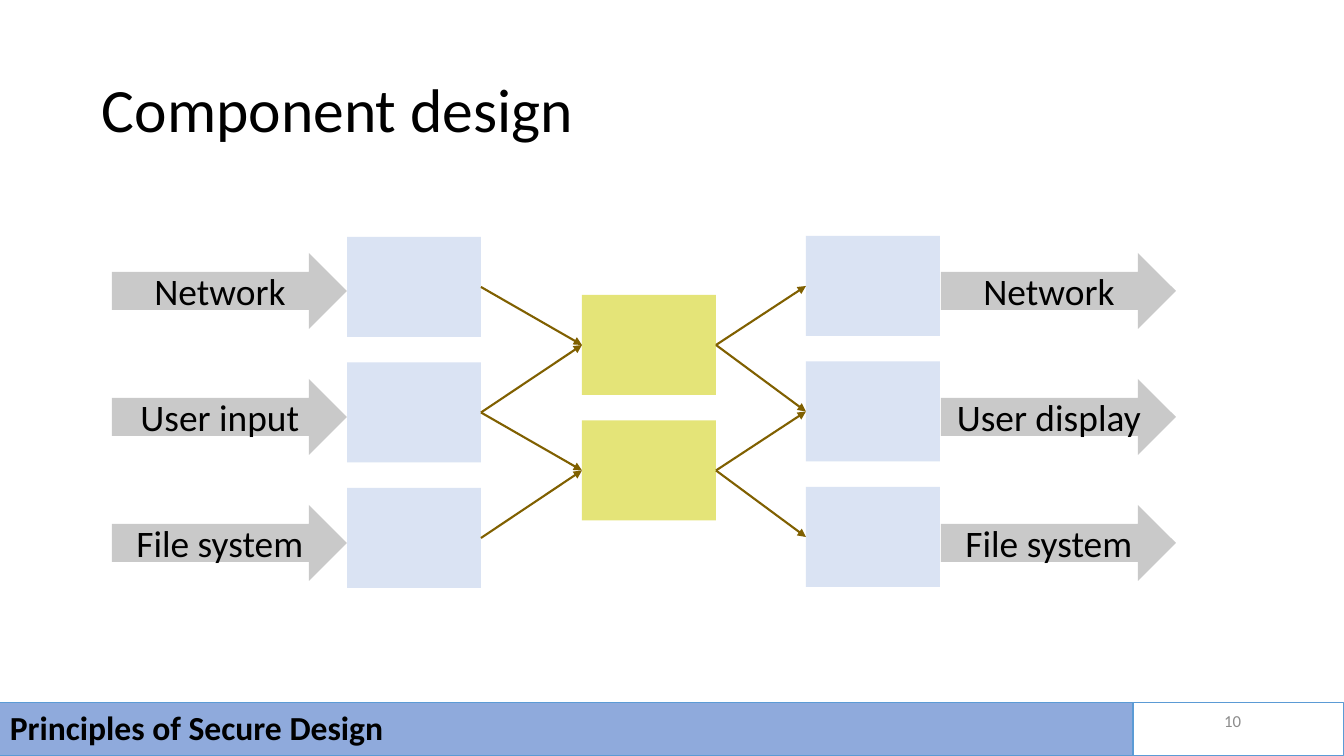
from lxml import etree
from pptx import Presentation
from pptx.dml.color import RGBColor
from pptx.enum.shapes import MSO_CONNECTOR, MSO_SHAPE
from pptx.enum.text import MSO_ANCHOR, PP_ALIGN
from pptx.oxml.ns import qn
from pptx.util import Emu, Pt

# Content
TITLE = "Component design"
FOOTER = "Principles of Secure Design"
PAGE_NUMBER = "10"
INPUTS = ["Network", "User input", "File system"]
OUTPUTS = ["Network", "User display", "File system"]
INPUT_LINKS = [(0, 0), (1, 1), (1, 0), (2, 1)]      # input box, core box
OUTPUT_LINKS = [(0, 0), (0, 1), (1, 1), (1, 2)]     # core box, output box

# Layout in px
SCALE = 914400 / 100.8
SLIDE_WIDTH, SLIDE_HEIGHT = 1344, 756
BOX_WIDTH, BOX_HEIGHT, BOX_PITCH = 134, 100, 125.5
INPUT_LEFT, CORE_LEFT, OUTPUT_LEFT = 347, 582, 806
INPUT_TOP, CORE_TOP, OUTPUT_TOP = 237, 295, 236
ARROW_WIDTH, ARROW_HEIGHT, ARROW_TOP, ARROW_PITCH = 235, 76, 253, 126
FOOTER_TOP, FOOTER_HEIGHT, FOOTER_SPLIT = 703, 53, 1133

FONT = "Calibri"
BLACK, GREY_TEXT = "000000", "8C8C8C"
PALE_BLUE, OLIVE, GREY = "DAE3F3", "CCCC00", "C9C9C9"
BROWN, FOOTER_FILL, FOOTER_LINE = "806000", "8FAADC", "5B9BD5"


def px(length):
    return Emu(round(length * SCALE))


def color(value):
    return RGBColor.from_string(value)


def write(shape, text, size, text_color=BLACK, align=PP_ALIGN.LEFT, bold=False, spacing=1.0):
    frame = shape.text_frame
    frame.word_wrap = True
    frame.vertical_anchor = MSO_ANCHOR.MIDDLE
    paragraph = frame.paragraphs[0]
    paragraph.alignment = align
    paragraph.line_spacing = spacing
    run = paragraph.add_run()
    run.text = text
    run.font.name = FONT
    run.font.size = Pt(size)
    run.font.bold = bold
    run.font.color.rgb = color(text_color)


def add_text(slide, left, top, width, height, text, size, **style):
    box = slide.shapes.add_textbox(px(left), px(top), px(width), px(height))
    write(box, text, size, **style)


def add_block(slide, kind, left, top, width, height, fill=None, line=None, opacity=None):
    shape = slide.shapes.add_shape(kind, px(left), px(top), px(width), px(height))
    shape.shadow.inherit = False
    if fill:
        shape.fill.solid()
        shape.fill.fore_color.rgb = color(fill)
    else:
        shape.fill.background()
    if opacity:
        rgb = shape._element.spPr.find(qn("a:solidFill")).find(qn("a:srgbClr"))
        etree.SubElement(rgb, qn("a:alpha")).set("val", str(opacity * 1000))
    if line:
        shape.line.color.rgb = color(line)
        shape.line.width = Pt(0.75)
    else:
        shape.line.fill.background()
    return shape


def add_boxes(slide, count, left, top, fill, opacity=None):
    return [add_block(slide, MSO_SHAPE.RECTANGLE, left, top + row * BOX_PITCH,
                      BOX_WIDTH, BOX_HEIGHT, fill, opacity=opacity)
            for row in range(count)]


def add_labelled_arrows(slide, labels, left):
    for row, label in enumerate(labels):
        arrow = add_block(slide, MSO_SHAPE.RIGHT_ARROW, left, ARROW_TOP + row * ARROW_PITCH,
                          ARROW_WIDTH, ARROW_HEIGHT, GREY)
        write(arrow, label, 26.7, align=PP_ALIGN.CENTER)


def link(slide, source, target):
    connector = slide.shapes.add_connector(MSO_CONNECTOR.STRAIGHT, 0, 0, 0, 0)
    connector.begin_connect(source, 3)
    connector.end_connect(target, 1)
    connector.line.color.rgb = color(BROWN)
    connector.line.width = Pt(1.5)
    properties = connector._element.spPr
    etree.SubElement(properties.find(qn("a:ln")), qn("a:tailEnd")).set("type", "triangle")
    etree.SubElement(properties, qn("a:effectLst"))


def main():
    presentation = Presentation()
    presentation.slide_width = px(SLIDE_WIDTH)
    presentation.slide_height = px(SLIDE_HEIGHT)
    slide = presentation.slides.add_slide(presentation.slide_layouts[6])

    # Title
    add_text(slide, 92, 40, 1159, 146, TITLE, 44, spacing=0.9)

    # Labelled arrows into and out of the component
    add_labelled_arrows(slide, INPUTS, INPUT_LEFT - ARROW_WIDTH)
    add_labelled_arrows(slide, OUTPUTS, OUTPUT_LEFT + BOX_WIDTH + 1)

    # Component boxes
    inputs = add_boxes(slide, len(INPUTS), INPUT_LEFT, INPUT_TOP, PALE_BLUE)
    outputs = add_boxes(slide, len(OUTPUTS), OUTPUT_LEFT, OUTPUT_TOP, PALE_BLUE)
    cores = add_boxes(slide, 2, CORE_LEFT, CORE_TOP, OLIVE, opacity=53)

    # Data flow
    for source, target in INPUT_LINKS:
        link(slide, inputs[source], cores[target])
    for source, target in OUTPUT_LINKS:
        link(slide, cores[source], outputs[target])

    # Footer
    footer = add_block(slide, MSO_SHAPE.RECTANGLE, 0, FOOTER_TOP, FOOTER_SPLIT,
                       FOOTER_HEIGHT, FOOTER_FILL, FOOTER_LINE)
    write(footer, FOOTER, 24, bold=True, spacing=0.9)
    add_block(slide, MSO_SHAPE.RECTANGLE, FOOTER_SPLIT, FOOTER_TOP,
              SLIDE_WIDTH - FOOTER_SPLIT, FOOTER_HEIGHT, line=FOOTER_LINE)
    add_text(slide, 949, 701, 302, 40, PAGE_NUMBER, 12,
             text_color=GREY_TEXT, align=PP_ALIGN.RIGHT)

    presentation.save("out.pptx")


if __name__ == "__main__":
    main()
